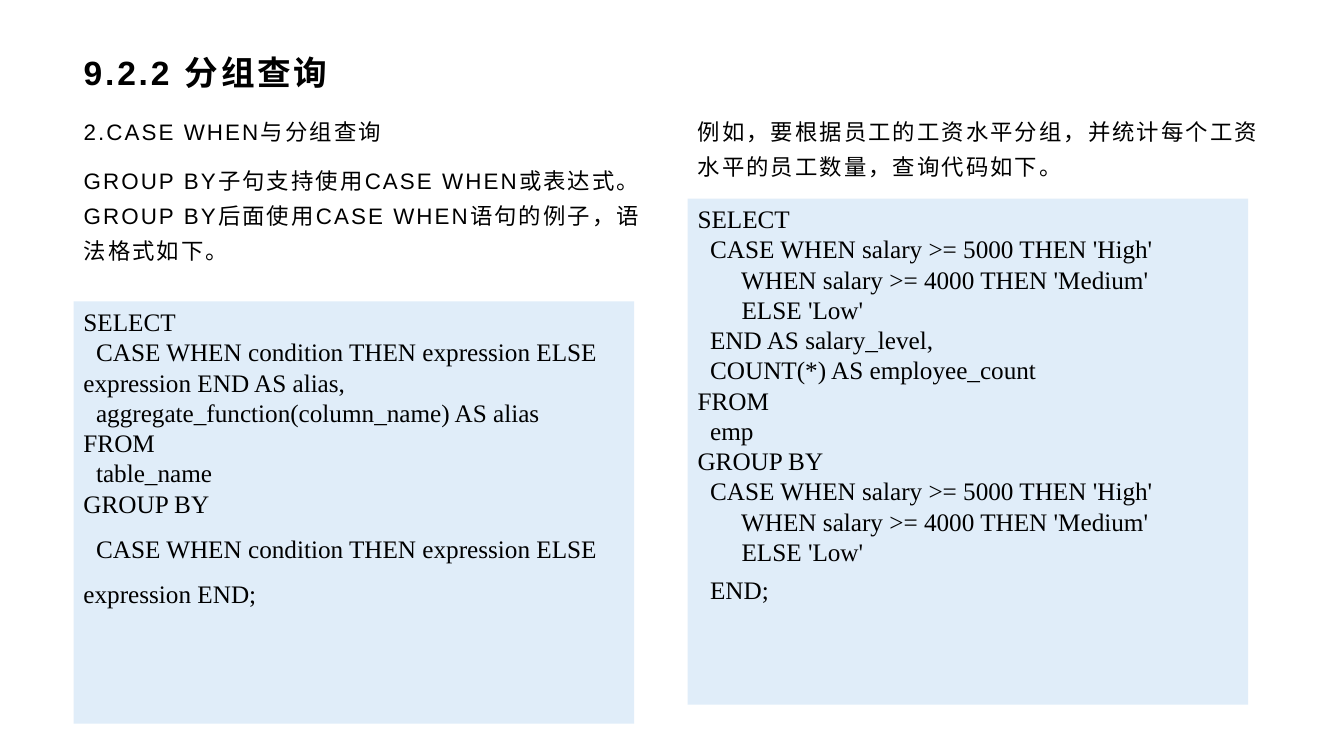
from pptx import Presentation, util as u
from pptx.dml.color import RGBColor
from pptx.enum import shapes, text
from pptx.oxml.ns import qn
from lxml import etree

# Content
TITLE = "9.2.2 分组查询"
CASE_SALARY = [
    "  CASE WHEN salary >= 5000 THEN 'High'",
    "       WHEN salary >= 4000 THEN 'Medium'",
    "       ELSE 'Low'",
]
CASE_SYNTAX = "  CASE WHEN condition THEN expression ELSE expression END"
COLUMNS = [
    {
        "body": [
            "2.CASE WHEN与分组查询",
            "GROUP BY子句支持使用CASE WHEN或表达式。GROUP BY后面使用CASE WHEN语句的例子，语法格式如下。",
        ],
        "code": [
            "SELECT",
            CASE_SYNTAX + " AS alias,",
            "  aggregate_function(column_name) AS alias",
            "FROM",
            "  table_name",
            "GROUP BY",
            CASE_SYNTAX + ";",
        ],
        "code_top": 2.99, "code_height": 4.19, "last_line": 1.5,
    },
    {
        "body": ["例如，要根据员工的工资水平分组，并统计每个工资水平的员工数量，查询代码如下。"],
        "code": [
            "SELECT", *CASE_SALARY,
            "  END AS salary_level,",
            "  COUNT(*) AS employee_count",
            "FROM",
            "  emp",
            "GROUP BY", *CASE_SALARY,
            "  END;",
        ],
        "code_top": 1.97, "code_height": 5.02, "last_line": 1.25,
    },
]
COLORS = {"text": "000000", "panel": "E0EDF9"}

# Grid, in inches
LEFT, COL_W, GAP = 0.73, 5.78, 0.31
TITLE_TOP, TITLE_H = 0.48, 0.48
BODY_TOP, BODY_H = 1.04, 5.89
CODE_W = 5.56
CODE_LINE = 21.6  # points


def place(sp, left, top, width, height):
    sp.left, sp.top, sp.width, sp.height = map(u.Inches, (left, top, width, height))


def write(sp, lines, size, font, bold=False, spacing=0, anchor=text.MSO_ANCHOR.TOP):
    tf = sp.text_frame
    tf.text = "\n".join(lines)
    tf.word_wrap = True
    tf.auto_size = text.MSO_AUTO_SIZE.NONE
    tf.vertical_anchor = anchor
    for p in tf.paragraphs:
        p.alignment = text.PP_ALIGN.LEFT
        p.space_before = u.Pt(0)
        for r in p.runs:
            r.font.size, r.font.name, r.font.bold = u.Pt(size), font, bold
            r.font.color.rgb = RGBColor.from_string(COLORS["text"])
            rPr = r.font._element
            etree.SubElement(rPr, qn("a:ea")).set("typeface", font)
            if spacing:
                rPr.set("spc", str(int(spacing * 100)))
    return tf.paragraphs


prs = Presentation()
prs.slide_width, prs.slide_height = u.Inches(13.33), u.Inches(7.5)
s = prs.slides.add_slide(prs.slide_layouts.get_by_name("Two Content"))

# Title
title, *bodies = s.placeholders
place(title, LEFT, TITLE_TOP, 2 * COL_W + GAP, TITLE_H)
write(title, [TITLE], 24, "Arial", bold=True, spacing=2, anchor=text.MSO_ANCHOR.MIDDLE)

for i, (col, body) in enumerate(zip(COLUMNS, bodies)):
    left = LEFT + i * (COL_W + GAP)

    # Explanation
    place(body, left, BODY_TOP, COL_W, BODY_H)
    for p in write(body, col["body"], 16, "Arial", spacing=1.5):
        p.line_spacing, p.space_after = 1.3, u.Pt(10)
        pPr = p._p.get_or_add_pPr()
        pPr.set("marL", "0")
        pPr.set("indent", "0")
        etree.SubElement(pPr, qn("a:buNone"))

    # Code panel
    sp = s.shapes.add_shape(shapes.MSO_SHAPE.RECTANGLE, 0, 0, 0, 0)
    place(sp, left, col["code_top"], CODE_W, col["code_height"])
    sp.shadow.inherit = False
    sp.fill.solid()
    sp.fill.fore_color.rgb = RGBColor.from_string(COLORS["panel"])
    sp.line.fill.background()
    lines = write(sp, col["code"], 18, "Times New Roman")
    for p in lines:
        p.line_spacing = u.Pt(CODE_LINE)
    lines[-1].line_spacing = u.Pt(CODE_LINE * col["last_line"])

prs.save("out.pptx")
